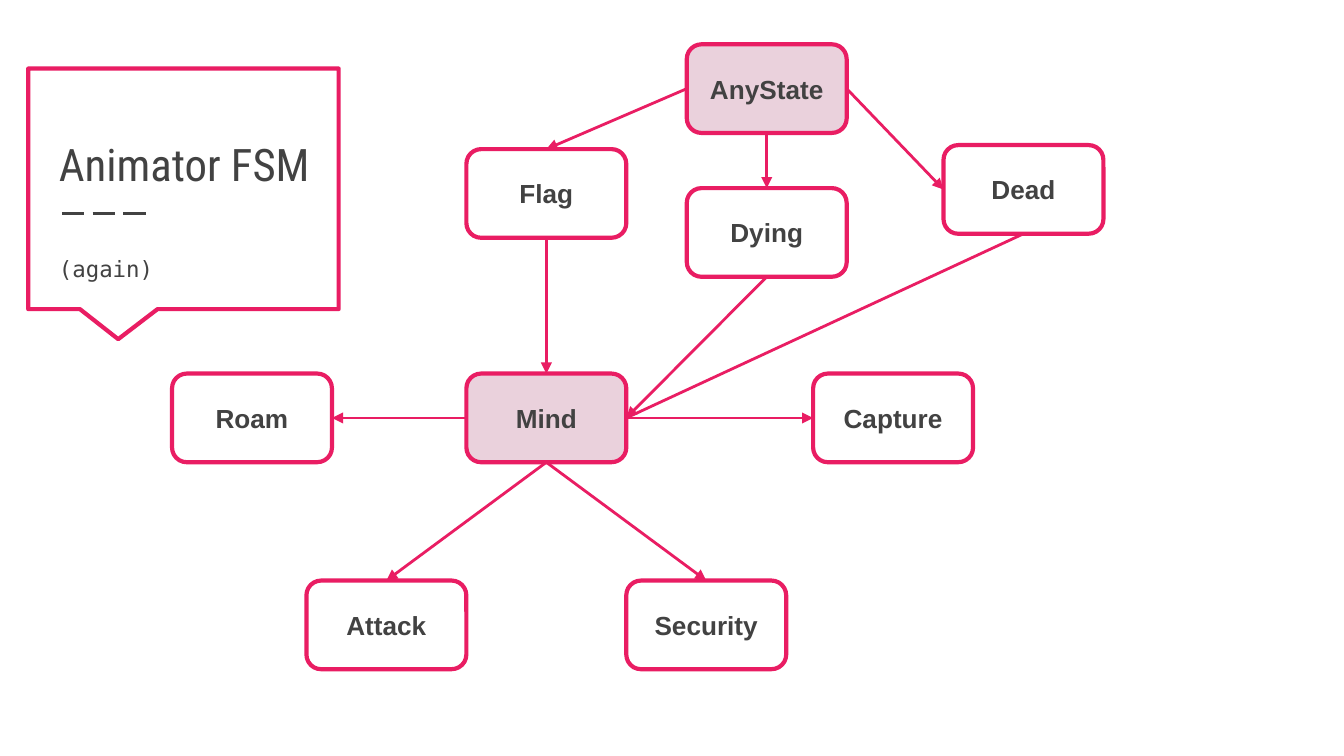
from dataclasses import dataclass

from lxml import etree
from pptx import Presentation
from pptx.dml.color import RGBColor
from pptx.enum.dml import MSO_LINE
from pptx.enum.shapes import MSO_CONNECTOR, MSO_SHAPE
from pptx.enum.text import MSO_ANCHOR, PP_ALIGN
from pptx.oxml.ns import qn
from pptx.shapes.autoshape import Shape
from pptx.shapes.connector import Connector
from pptx.slide import Slide
from pptx.text.text import TextFrame
from pptx.util import Inches, Pt

STRAIGHT = MSO_CONNECTOR.STRAIGHT
ROUNDED = MSO_SHAPE.ROUNDED_RECTANGLE
CALLOUT = MSO_SHAPE.RECTANGULAR_CALLOUT
LONG_DASH = MSO_LINE.LONG_DASH
ANCHOR_TOP, ANCHOR_MIDDLE, ANCHOR_BOTTOM = (
    MSO_ANCHOR.TOP, MSO_ANCHOR.MIDDLE, MSO_ANCHOR.BOTTOM)
LEFT_ALIGNED, CENTERED = PP_ALIGN.LEFT, PP_ALIGN.CENTER
TOP, LEFT, BOTTOM, RIGHT = range(4)


@dataclass(frozen=True)
class Theme:
    accent: RGBColor = RGBColor(0xE9, 0x1D, 0x63)
    hub_fill: RGBColor = RGBColor(0xEA, 0xD1, 0xDC)
    state_fill: RGBColor = RGBColor(0xFF, 0xFF, 0xFF)
    ink: RGBColor = RGBColor(0x42, 0x42, 0x42)
    title_font: str = "Roboto Condensed"
    subtitle_font: str = "DejaVu Sans Mono"
    state_font: str = "Arial"
    title_size: float = 24
    subtitle_size: float = 12
    state_size: float = 14
    outline: float = 2.25
    stroke: float = 1.5


@dataclass(frozen=True)
class State:
    name: str
    left: float
    top: float
    is_hub: bool = False


@dataclass(frozen=True)
class Transition:
    source: str
    exit_side: int
    target: str
    entry_side: int
    has_arrow: bool = True


THEME = Theme()
SLIDE_WIDTH = Inches(10)
SLIDE_HEIGHT = SLIDE_WIDTH * 9 // 16
STATE_WIDTH, STATE_HEIGHT = 1.19, 0.66
MIND_ROW, ACTION_ROW = 2.78, 4.32

STATES = [
    State("Dying", 5.11, 1.4),
    State("AnyState", 5.11, 0.33, True),
    State("Dead", 7.02, 1.08),
    State("Flag", 3.47, 1.11),
    State("Security", 4.66, ACTION_ROW),
    State("Mind", 3.47, MIND_ROW, True),
    State("Capture", 6.05, MIND_ROW),
    State("Roam", 1.28, MIND_ROW),
    State("Attack", 2.28, ACTION_ROW),
]

TRANSITIONS = [
    Transition("AnyState", LEFT, "Flag", TOP),
    Transition("AnyState", BOTTOM, "Dying", TOP),
    Transition("AnyState", RIGHT, "Dead", LEFT),
    Transition("Dying", BOTTOM, "Mind", RIGHT),
    Transition("Mind", RIGHT, "Capture", LEFT),
    Transition("Mind", BOTTOM, "Security", TOP),
    Transition("Mind", BOTTOM, "Attack", TOP),
    Transition("Mind", LEFT, "Roam", RIGHT),
    Transition("Flag", BOTTOM, "Mind", TOP),
    Transition("Dead", BOTTOM, "Mind", RIGHT, has_arrow=False),
]


def write(frame: TextFrame, text: str, font: str, size: float,
          anchor: MSO_ANCHOR, alignment: PP_ALIGN, bold: bool = False) -> None:
    frame.word_wrap = True
    frame.vertical_anchor = anchor
    frame.margin_left = frame.margin_right = Inches(0.1)
    frame.margin_top = frame.margin_bottom = Inches(0.1)
    paragraph = frame.paragraphs[0]
    paragraph.alignment = alignment
    run = paragraph.add_run()
    run.text = text
    run.font.name = font
    run.font.size = Pt(size)
    run.font.bold = bold
    run.font.color.rgb = THEME.ink


def outline(shape: Shape) -> None:
    shape.shadow.inherit = False
    shape.line.color.rgb = THEME.accent
    shape.line.width = Pt(THEME.outline)


def style_connector(connector: Connector, color: RGBColor) -> None:
    connector.line.color.rgb = color
    connector.line.width = Pt(THEME.stroke)
    etree.SubElement(connector._element.spPr, qn("a:effectLst"))


def draw_heading(slide: Slide) -> None:
    rule = slide.shapes.add_connector(
        STRAIGHT, Inches(0.46), Inches(1.59), Inches(1.13), Inches(1.59))
    style_connector(rule, THEME.ink)
    rule.line.dash_style = LONG_DASH

    title = slide.shapes.add_textbox(
        Inches(0.34), Inches(0.69), Inches(3.07), Inches(0.83))
    write(title.text_frame, "Animator FSM", THEME.title_font,
          THEME.title_size, ANCHOR_BOTTOM, LEFT_ALIGNED)

    subtitle = slide.shapes.add_textbox(
        Inches(0.34), Inches(1.77), Inches(1.64), Inches(0.45))
    write(subtitle.text_frame, "(again)", THEME.subtitle_font,
          THEME.subtitle_size, ANCHOR_TOP, LEFT_ALIGNED)
    subtitle.text_frame.paragraphs[0].line_spacing = 1.15
    subtitle.text_frame.paragraphs[0].space_after = Pt(12)


def draw_callout(slide: Slide) -> None:
    callout = slide.shapes.add_shape(
        CALLOUT, Inches(0.21), Inches(0.51), Inches(2.31), Inches(1.79))
    callout.adjustments[0] = -0.21
    callout.adjustments[1] = 0.625
    callout.fill.background()
    outline(callout)


def draw_state(slide: Slide, state: State) -> Shape:
    box = slide.shapes.add_shape(
        ROUNDED, Inches(state.left), Inches(state.top),
        Inches(STATE_WIDTH), Inches(STATE_HEIGHT))
    box.fill.solid()
    box.fill.fore_color.rgb = THEME.hub_fill if state.is_hub else THEME.state_fill
    outline(box)
    write(box.text_frame, state.name, THEME.state_font, THEME.state_size,
          ANCHOR_MIDDLE, CENTERED, bold=True)
    return box


def draw_transition(slide: Slide, transition: Transition,
                    boxes: dict[str, Shape]) -> None:
    connector = slide.shapes.add_connector(STRAIGHT, 0, 0, 0, 0)
    connector.begin_connect(boxes[transition.source], transition.exit_side)
    connector.end_connect(boxes[transition.target], transition.entry_side)
    style_connector(connector, THEME.accent)
    if transition.has_arrow:
        stroke = connector._element.spPr.find(qn("a:ln"))
        etree.SubElement(stroke, qn("a:tailEnd"), type="triangle")


def main() -> None:
    presentation = Presentation()
    presentation.slide_width = SLIDE_WIDTH
    presentation.slide_height = SLIDE_HEIGHT
    slide = presentation.slides.add_slide(presentation.slide_layouts[6])

    draw_heading(slide)
    draw_callout(slide)
    boxes = {state.name: draw_state(slide, state) for state in STATES}
    for transition in TRANSITIONS:
        draw_transition(slide, transition, boxes)

    presentation.save("out.pptx")


if __name__ == "__main__":
    main()
